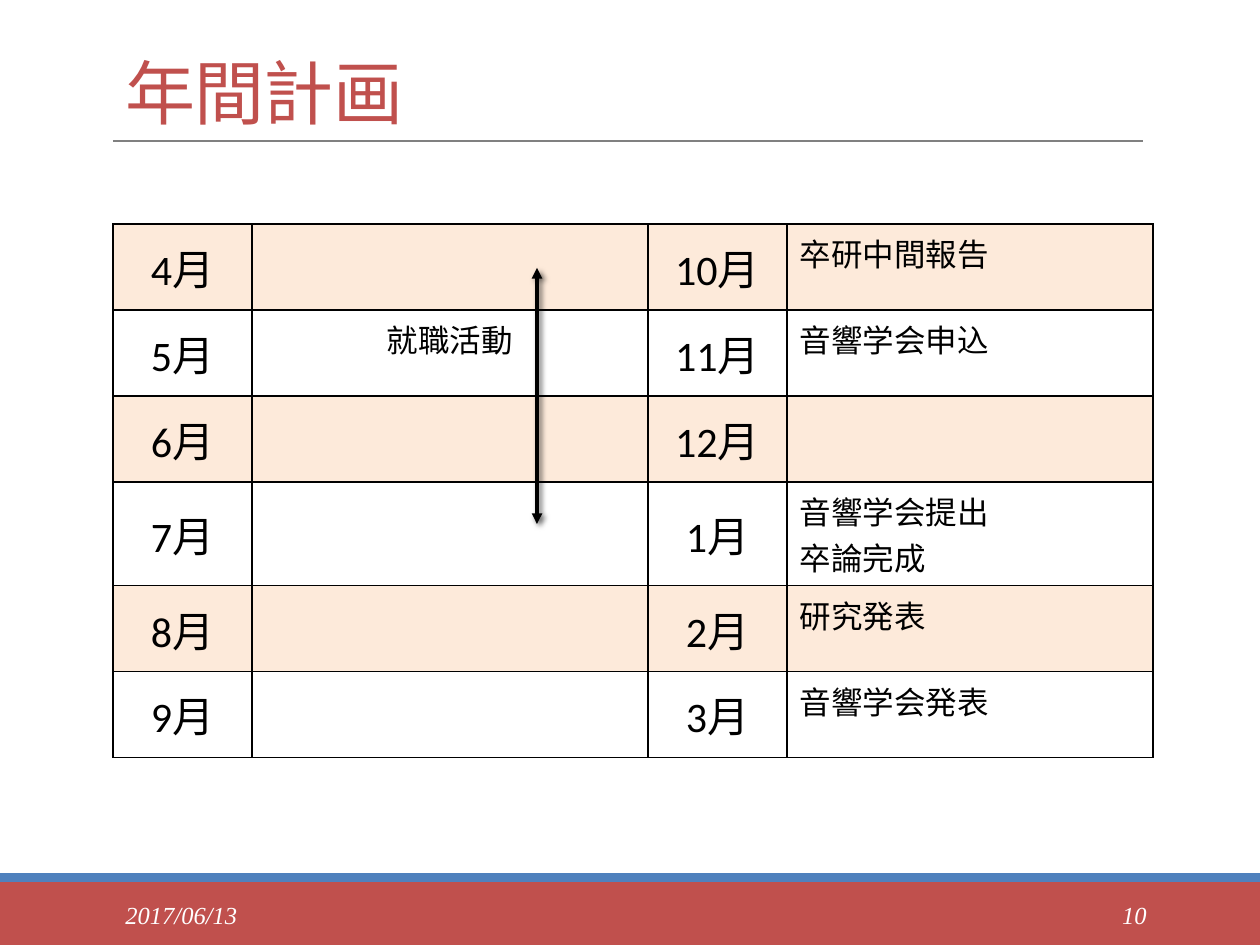
from dataclasses import dataclass

from lxml.etree import SubElement
from pptx import Presentation
from pptx.dml.color import RGBColor
from pptx.enum.shapes import MSO_CONNECTOR as Link, MSO_SHAPE as Shape
from pptx.enum.text import MSO_ANCHOR as Anchor, PP_ALIGN as Align
from pptx.oxml.ns import qn
from pptx.util import Emu, Pt

SCALE = 914400 / 126
RED, BLUE, GRAY = "C0504D", "4F81BD", "808080"
BLACK, WHITE, ORANGE = "000000", "FFFFFF", "F79646"
CJK = "Noto Sans CJK JP"


@dataclass
class Box:
    x: int
    y: int
    w: int
    h: int

    def emu(self) -> list:
        return [px(n) for n in (self.x, self.y, self.w, self.h)]


@dataclass
class Bar:
    box: Box
    color: str


@dataclass
class Label:
    box: Box
    text: str
    style: dict


def px(n: int) -> Emu:
    return Emu(round(n * SCALE))


def rgb(code: str) -> RGBColor:
    return RGBColor.from_string(code)


def add(parent, tag: str, **attrs):
    return SubElement(parent, qn(tag), {k: str(v) for k, v in attrs.items()})


def write(frame, text: str, size=18, font="Calibri", color=BLACK, align=Align.LEFT,
          anchor=Anchor.TOP, italic=False, space=None, track=None) -> None:
    frame.word_wrap = True
    frame.vertical_anchor = anchor
    for i, line in enumerate(text.split("\n")):
        para = frame.add_paragraph() if i else frame.paragraphs[0]
        para.alignment = align
        para.line_spacing = space
        run = para.add_run()
        run.text = line
        face = run.font
        face.size, face.name, face.italic = Pt(size), font, italic
        face.color.rgb = rgb(color)
        props = run._r.get_or_add_rPr()
        add(props, "a:ea", typeface=CJK)
        if track:
            props.set("spc", str(track))


def draw_bar(slide, bar: Bar) -> None:
    shape = slide.shapes.add_shape(Shape.RECTANGLE, *bar.box.emu())
    shape.shadow.inherit = False
    shape.fill.solid()
    shape.fill.fore_color.rgb = rgb(bar.color)
    shape.line.fill.background()


def draw_label(slide, label: Label) -> None:
    write(slide.shapes.add_textbox(*label.box.emu()).text_frame, label.text, **label.style)


def draw_line(slide, start: tuple, end: tuple, color: str, width: int):
    line = slide.shapes.add_connector(Link.STRAIGHT, *map(px, start + end))
    line.line.color.rgb = rgb(color)
    line.line.width = Pt(width)
    return line, add(line._element.spPr, "a:effectLst")


def style_cell(cell, tint: bool) -> None:
    props = cell._tc.get_or_add_tcPr()
    for side in ("L", "R", "T", "B"):
        edge = add(props, f"a:ln{side}", w=Pt(1))
        add(add(edge, "a:solidFill"), "a:srgbClr", val=BLACK)
    if tint:
        cell.fill.solid()
        cell.fill.fore_color.rgb = rgb(ORANGE)
        add(props.find(qn("a:solidFill"))[0], "a:alpha", val=20000)
    else:
        cell.fill.background()


def draw_plan(slide, box: Box, cols: list, plan: list) -> None:
    shape = slide.shapes.add_table(len(plan), len(cols), *box.emu())
    table = shape.table
    table.first_row = table.horz_banding = False
    for col, width in zip(table.columns, cols):
        col.width = px(width)
    for r, row in enumerate(plan):
        table.rows[r].height = px(box.h // len(plan))
        for c, text in enumerate(row):
            cell = table.cell(r, c)
            style_cell(cell, tint=r % 2 == 0)
            if not text:
                continue
            month = c % 2 == 0
            anchor = Anchor.MIDDLE if month else Anchor.TOP
            write(cell.text_frame, text, size=24 if month else 18,
                  align=Align.LEFT if c == 3 else Align.CENTER)
            cell.vertical_anchor = anchor


def draw_arrow(slide, start: tuple, end: tuple) -> None:
    line, effects = draw_line(slide, start, end, BLACK, 2)
    for tag in ("a:headEnd", "a:tailEnd"):
        add(line.line._get_or_add_ln(), tag, type="triangle")
    shade = add(effects, "a:outerShdw", blurRad=Pt(3), dist=Pt(2), dir=45 * 60000)
    add(add(shade, "a:srgbClr", val=BLACK), "a:alpha", val=60000)


FOOT = dict(size=14, font="Times New Roman", color=WHITE, italic=True, anchor=Anchor.MIDDLE)
BARS = [Bar(Box(0, 882, 1260, 63), RED), Bar(Box(0, 873, 1260, 9), BLUE)]
LABELS = [
    Label(Box(113, 39, 1040, 101), "年間計画",
          dict(size=40, font=CJK, color=RED, anchor=Anchor.BOTTOM, space=0.85, track=-40)),
    Label(Box(113, 890, 256, 50), "2017/06/13", FOOT),
    Label(Box(1023, 890, 136, 50), "10", FOOT | dict(align=Align.RIGHT)),
]
PLAN = [
    ("4月", "", "10月", "卒研中間報告"),
    ("5月", "就職活動", "11月", "音響学会申込"),
    ("6月", "", "12月", ""),
    ("7月", "", "1月", "音響学会提出\n卒論完成"),
    ("8月", "", "2月", "研究発表"),
    ("9月", "", "3月", "音響学会発表"),
]


def main() -> None:
    deck = Presentation()
    deck.slide_width, deck.slide_height = px(1260), px(945)
    slide = deck.slides.add_slide(deck.slide_layouts[6])

    # Footer bands and title rule
    for bar in BARS:
        draw_bar(slide, bar)
    draw_line(slide, (113, 141), (1143, 141), GRAY, 1)

    # Yearly plan with the job hunting span
    draw_plan(slide, Box(113, 224, 1040, 516), [139, 396, 139, 366], PLAN)
    draw_arrow(slide, (537, 268), (537, 524))

    # Title, date and page number
    for label in LABELS:
        draw_label(slide, label)

    deck.save("out.pptx")


if __name__ == "__main__":
    main()
